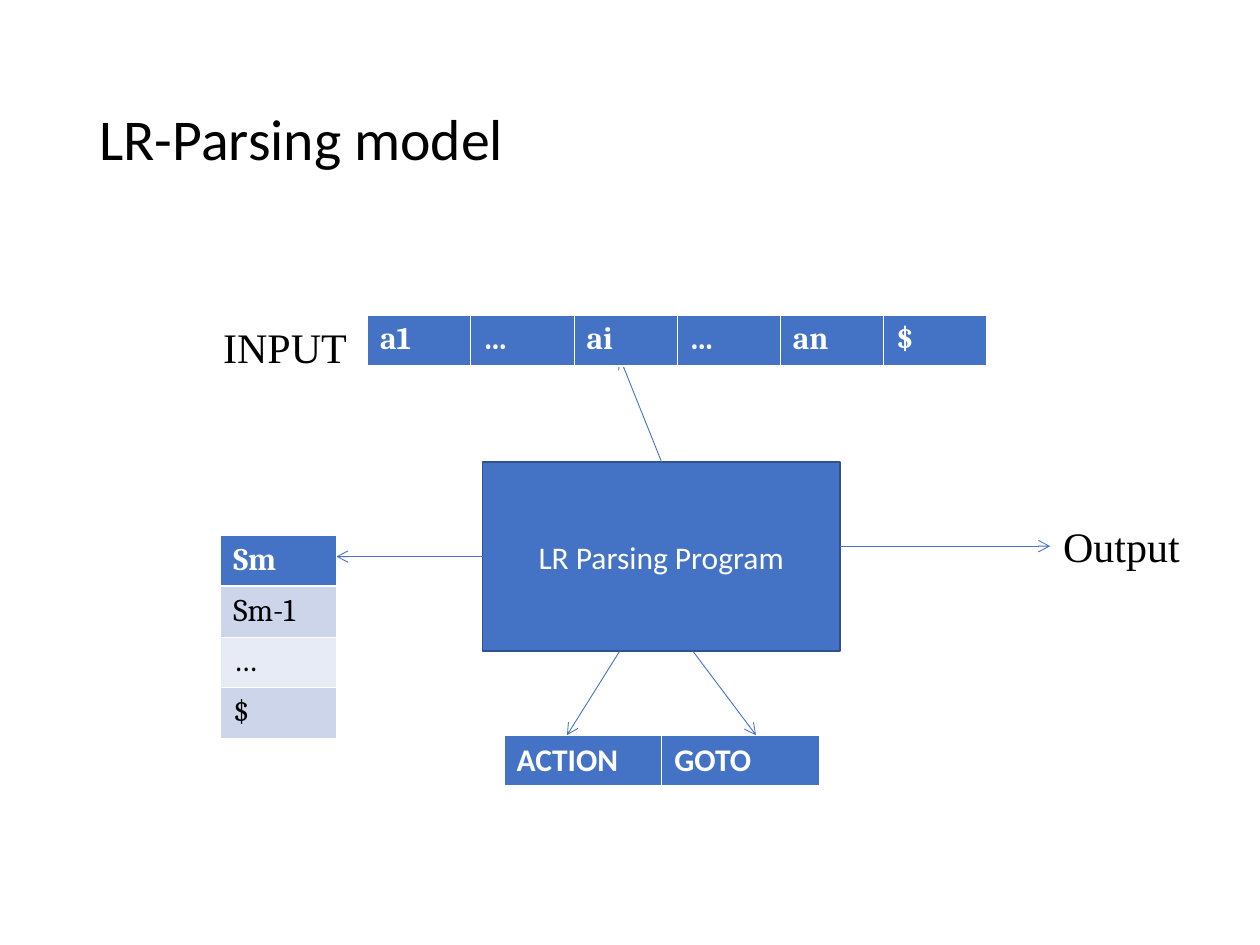
from lxml import etree
from pptx import Presentation
from pptx.dml.color import RGBColor
from pptx.enum.shapes import MSO_CONNECTOR, MSO_SHAPE
from pptx.enum.text import MSO_ANCHOR, MSO_AUTO_SIZE, PP_ALIGN
from pptx.oxml.ns import qn
from pptx.util import Cm, Pt

STRAIGHT = MSO_CONNECTOR.STRAIGHT
RECTANGLE = MSO_SHAPE.RECTANGLE
MIDDLE = MSO_ANCHOR.MIDDLE
LEFT, CENTER = PP_ALIGN.LEFT, PP_ALIGN.CENTER
NO_AUTOFIT = MSO_AUTO_SIZE.NONE

BLUE, DARK_BLUE, WHITE, BLACK = "4472C4", "2F528F", "FFFFFF", "000000"
BANDS = ["CCD5EA", "E7EBF5"]

# Lengths in cm
TITLE = ("LR-Parsing model", (1.75, 1.02, 21.92, 3.68))
PROGRAM = ("LR Parsing Program", (9.73, 9.32, 7.2, 3.81))
# rows, left, top, column width, row height, font
TABLES = [
    ([["a1", "…", "ai", "…", "an", "$"]], 7.41, 6.35, 2.08, 1.03, "Cambria"),
    ([["Sm"], ["Sm-1"], ["…"], ["$"]], 4.45, 10.8, 2.33, 1.02, "Cambria"),
    ([["ACTION", "GOTO"]], 10.16, 14.82, 3.18, 1.03, "Calibri"),
]
LABELS = [
    ("INPUT", (4.25, 6.35, 3.0, 1.27)),
    ("Output", (21.18, 10.36, 3.0, 1.27)),
]
# Each runs from the program to its target
ARROWS = [
    ((9.73, 11.22), (6.78, 11.22)),
    ((16.93, 11.01), (21.17, 11.01)),
    ((13.34, 9.32), (12.49, 7.2)),
    ((12.49, 13.13), (11.43, 14.82)),
    ((13.97, 13.13), (15.24, 14.82)),
]


def color(hex_code):
    return RGBColor.from_string(hex_code)


def cms(lengths):
    return [Cm(length) for length in lengths]


def write(frame, text, size, font, hex_code, bold=False, align=LEFT):
    frame.text = text
    paragraph = frame.paragraphs[0]
    paragraph.alignment = align
    paragraph.font.size = Pt(size)
    paragraph.font.name = font
    paragraph.font.bold = bold
    paragraph.font.color.rgb = color(hex_code)
    return paragraph


def add_borders(cell, bottom, top):
    """Draw white cell borders; must run before the cell is filled."""
    properties = cell._tc.get_or_add_tcPr()
    for side, width in (("L", 0.45), ("R", 0.45), ("T", top), ("B", bottom)):
        border = etree.SubElement(properties, qn(f"a:ln{side}"), w=str(Pt(width)))
        fill = etree.SubElement(border, qn("a:solidFill"))
        etree.SubElement(fill, qn("a:srgbClr"), val=WHITE)


def add_table(slide, rows, left, top, column_width, row_height, font):
    columns = len(rows[0])
    table = slide.shapes.add_table(
        len(rows), columns,
        *cms((left, top, columns * column_width, len(rows) * row_height))).table
    for column in table.columns:
        column.width = Cm(column_width)
    for r, row in enumerate(rows):
        table.rows[r].height = Cm(row_height)
        header = r == 0
        for c, text in enumerate(row):
            cell = table.cell(r, c)
            add_borders(cell, bottom=1.47 if header else 0.45,
                        top=1.47 if r == 1 else 0.45)
            cell.fill.solid()
            cell.fill.fore_color.rgb = color(BLUE if header else BANDS[(r - 1) % 2])
            write(cell.text_frame, text, 18, font, WHITE if header else BLACK, header)


def add_arrow(slide, start, end):
    arrow = slide.shapes.add_connector(STRAIGHT, *cms(start + end))
    arrow.line.color.rgb = color(BLUE)
    arrow.line.width = Pt(0.5)
    etree.SubElement(arrow.line._get_or_add_ln(), qn("a:tailEnd"), type="arrow")
    etree.SubElement(arrow._element.spPr, qn("a:effectLst"))


def add_title(slide, text, box):
    title = slide.shapes.title
    title.left, title.top, title.width, title.height = cms(box)
    title.text_frame.vertical_anchor = MIDDLE
    title.text_frame.auto_size = NO_AUTOFIT
    write(title.text_frame, text, 33, "Calibri", BLACK).line_spacing = 0.9


def add_program(slide, text, box):
    program = slide.shapes.add_shape(RECTANGLE, *cms(box))
    program.shadow.inherit = False
    program.fill.solid()
    program.fill.fore_color.rgb = color(BLUE)
    program.line.color.rgb = color(DARK_BLUE)
    program.line.width = Pt(1)
    program.text_frame.vertical_anchor = MIDDLE
    write(program.text_frame, text, 18, "Calibri", WHITE, align=CENTER)


def add_label(slide, text, box):
    frame = slide.shapes.add_textbox(*cms(box)).text_frame
    frame.word_wrap = True
    frame.auto_size = NO_AUTOFIT
    write(frame, text, 24, "Times New Roman", BLACK)


def main():
    deck = Presentation()
    deck.slide_width, deck.slide_height = Cm(25.4), Cm(19.05)
    slide = deck.slides.add_slide(deck.slide_layouts[5])
    add_title(slide, *TITLE)
    add_program(slide, *PROGRAM)
    for arrow in ARROWS:
        add_arrow(slide, *arrow)
    for table in TABLES:
        add_table(slide, *table)
    for label in LABELS:
        add_label(slide, *label)
    deck.save("out.pptx")


if __name__ == "__main__":
    main()
